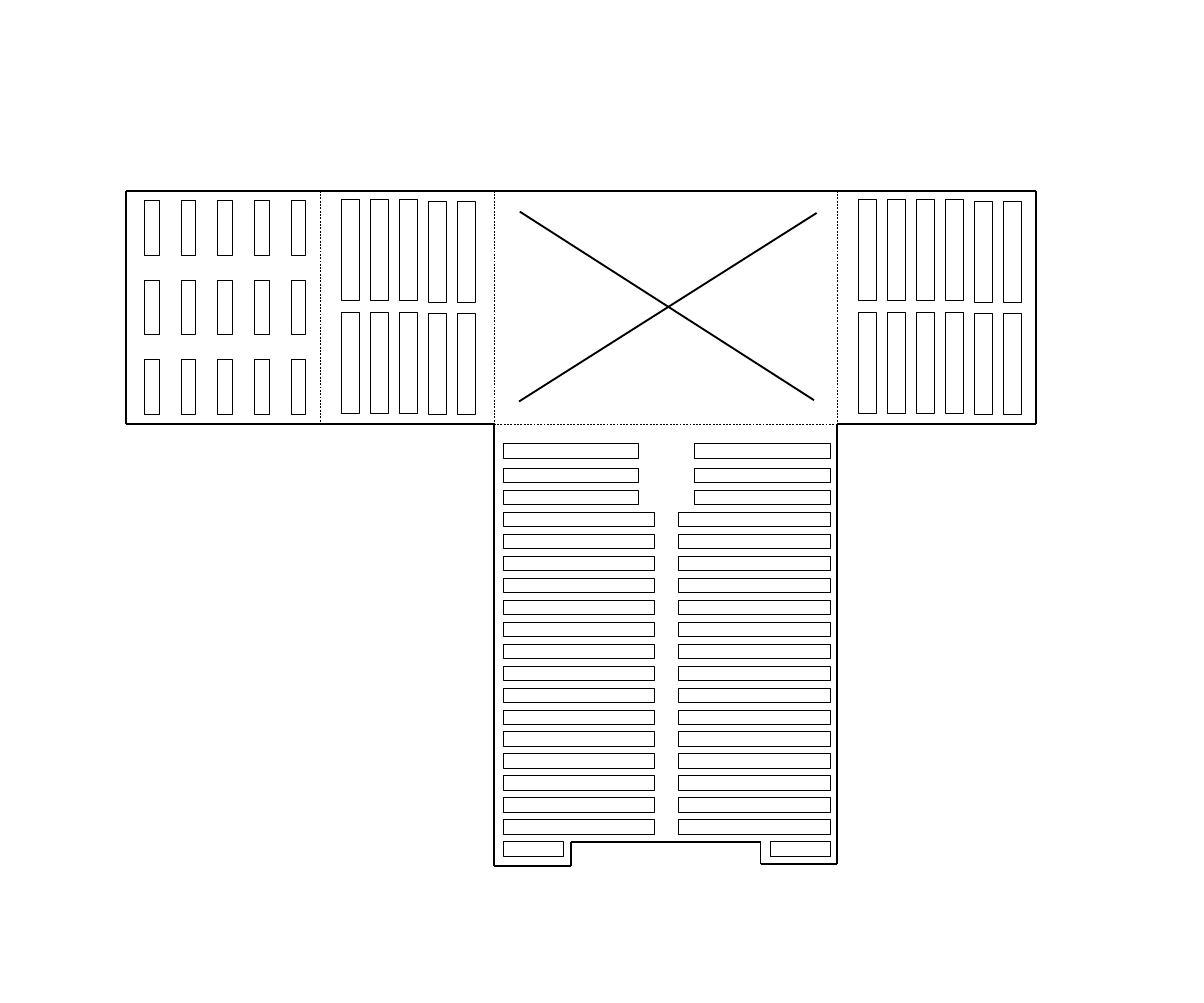
"""Draw the seating plan of a T-shaped hall."""
from pptx import Presentation
from pptx import util as u
from pptx.dml.color import RGBColor
from pptx.enum import dml, shapes
from pptx.oxml.ns import qn
from lxml import etree

COLOURS = {"paper": "FFFFFF", "ink": "000000"}
WALL, FOLD, BENCH = 2, 0.5, 1


def ink(line, points):
    """Give a line its colour and width."""
    line.color.rgb = RGBColor.from_string(COLOURS["ink"])
    line.width = u.Pt(points)


def stroke(slide, start, end, points=WALL):
    """Draw a straight line, dashed where it marks a fold."""
    edge = slide.shapes.add_connector(
        shapes.MSO_CONNECTOR.STRAIGHT, *(u.Cm(v) for v in (*start, *end)))
    ink(edge.line, points)
    if points == FOLD:
        edge.line.dash_style = dml.MSO_LINE.DASH
    etree.SubElement(edge._element.spPr, qn("a:effectLst"))


def bench(slide, left, top, length, depth, turn=0):
    """Draw one bench outline."""
    seat = slide.shapes.add_shape(
        shapes.MSO_SHAPE.RECTANGLE, *(u.Cm(v) for v in (left, top, length, depth)))
    seat.rotation = turn
    seat.shadow.inherit = False
    seat.fill.background()
    ink(seat.line, BENCH)


def upright_bench(slide, centre_x, centre_y, length, depth):
    """Draw a bench turned upright about its centre."""
    bench(slide, centre_x - length / 2, centre_y - depth / 2, length, depth, 90)


def gallery(slide, left, top):
    """Place the short benches, five across and three down."""
    for column in range(5):
        for row in range(3):
            upright_bench(slide, left + 0.99 + 1.39 * column,
                          top + 1.42 + 3.01 * row, 2.08, 0.56)


def wing(slide, left, top, columns):
    """Place two rows of long benches, the last two columns a little lower."""
    for column in range(columns):
        drop = 0.05 if column >= columns - 2 else 0
        for row in range(2):
            upright_bench(slide, left + 1.14 + 1.1 * column,
                          top + 2.26 + 4.27 * row + drop, 3.84, 0.66)


def stage(slide, left, top, right, bottom):
    """Cross out the stage."""
    stroke(slide, (left + 0.99, top + 0.79), (right - 0.89, bottom - 0.91))
    stroke(slide, (left + 0.96, bottom - 0.86), (right - 0.79, top + 0.84))


def nave(slide, left, top, right):
    """Place the mirrored bench rows on both sides of the aisle."""
    near_lengths = [5.13] * 3 + [5.72] * 15 + [2.26]
    far_lengths = [5.13] * 3 + [5.76] * 15 + [2.26]
    for row, (near, far) in enumerate(zip(near_lengths, far_lengths)):
        row_top = top + 0.84 + 0.83 * row if row else top + 0.73
        row_top += 0.005 * row
        bench(slide, left + 0.38, row_top, near, 0.56)
        bench(slide, right - 0.28 - far, row_top, far, 0.56)


def walls(slide, left, top, right, bottom, nave_left, nave_right):
    """Draw the outer walls of the hall and its two end corners."""
    near_end, far_end, recess = 32.89, 32.82, 32
    near_step, far_step = 21.67, 28.88
    outline = [(nave_left, bottom), (left, bottom), (left, top), (right, top),
               (right, bottom), (nave_right, bottom), (nave_right, far_end),
               (far_step, far_end), (far_step, recess), (near_step, recess),
               (near_step, near_end), (nave_left, near_end), (nave_left, bottom)]
    for start, end in zip(outline, outline[1:]):
        stroke(slide, start, end)


def folds(slide, top, bottom, inner_left, nave_left, nave_right):
    """Mark the dashed borders between the parts of the hall."""
    for x in (inner_left, nave_left, nave_right):
        stroke(slide, (x, top), (x, bottom), FOLD)
    stroke(slide, (nave_left, bottom), (nave_right, bottom), FOLD)


def main():
    """Build and save the plan."""
    deck = Presentation()
    deck.slide_width, deck.slide_height = u.Cm(45.72), u.Cm(38.1)
    plan = deck.slides.add_slide(deck.slide_layouts[6])
    plan.background.fill.solid()
    plan.background.fill.fore_color.rgb = RGBColor.from_string(COLOURS["paper"])

    left, inner_left, nave_left, nave_right, right = 4.78, 12.17, 18.75, 31.8, 39.34
    top, bottom = 7.25, 16.11
    nave(plan, nave_left, bottom, nave_right)
    wing(plan, nave_right, top, 6)
    wing(plan, inner_left, top, 5)
    gallery(plan, left, top)
    walls(plan, left, top, right, bottom, nave_left, nave_right)
    folds(plan, top, bottom, inner_left, nave_left, nave_right)
    stage(plan, nave_left, top, nave_right, bottom)
    deck.save("out.pptx")


main()
